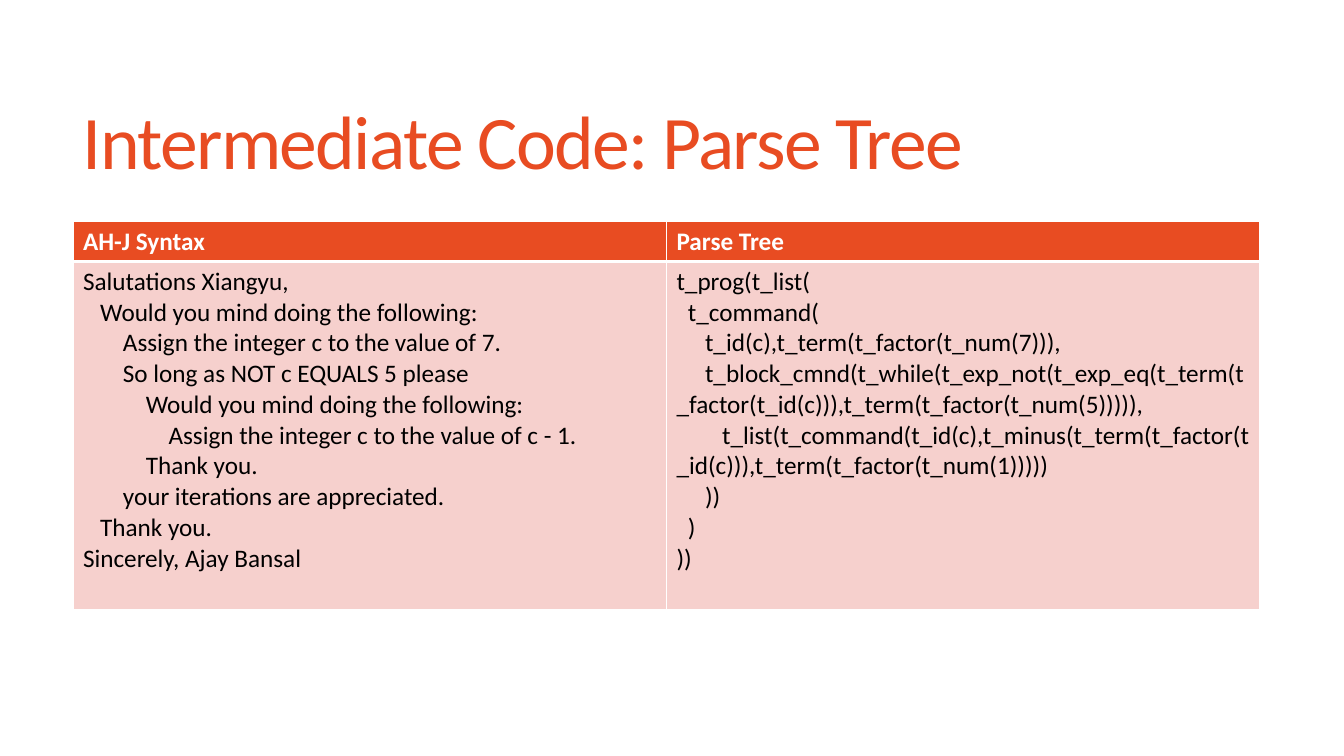
"""Build the slide that sets AH-J syntax beside its parse tree."""
import pptx
import pptx.dml.color
import pptx.enum.text
import pptx.oxml.ns
import pptx.util
import lxml.etree

PIXEL = 914400 / 100.8
ORANGE, PINK, WHITE, BLACK = "E84C22", "F6D0CD", "FFFFFF", "000000"
SPACE_WIDTH = 5.7


def pixels(count):
    return pptx.util.Emu(round(count * PIXEL))


def add_run(paragraph, text, size, color, bold=False):
    run = paragraph.add_run()
    run.text = text
    run.font.name = "Calibri"
    run.font.size = pptx.util.Pt(size)
    run.font.bold = bold
    run.font.color.rgb = pptx.dml.color.RGBColor.from_string(color)
    return run


presentation = pptx.Presentation()
presentation.slide_width = pixels(1344)
presentation.slide_height = pixels(756)
slide = presentation.slides.add_slide(presentation.slide_layouts[6])

title = slide.shapes.add_textbox(pixels(73), pixels(55), pixels(1187), pixels(183))
title.text_frame.word_wrap = True
title.text_frame.vertical_anchor = pptx.enum.text.MSO_ANCHOR.MIDDLE
title_paragraph = title.text_frame.paragraphs[0]
title_paragraph.line_spacing = 0.85
title_run = add_run(title_paragraph, "Intermediate Code: Parse Tree", 54, ORANGE)
title_run.font._element.set("spc", "-120")

syntax_lines = [
    (0, "Salutations Xiangyu,"),
    (3, "Would you mind doing the following:"),
    (7, "Assign the integer c to the value of 7."),
    (7, "So long as NOT c EQUALS 5 please"),
    (11, "Would you mind doing the following:"),
    (15, "Assign the integer c to the value of c - 1."),
    (11, "Thank you."),
    (7, "your iterations are appreciated."),
    (3, "Thank you."),
    (0, "Sincerely, Ajay Bansal"),
]
tree_lines = [
    (0, "t_prog(t_list("),
    (2, "t_command("),
    (5, "t_id(c),t_term(t_factor(t_num(7))),"),
    (5, "t_block_cmnd(t_while(t_exp_not(t_exp_eq(t_term(t_factor(t_id(c))),"
        "t_term(t_factor(t_num(5))))),"),
    (8, "t_list(t_command(t_id(c),t_minus(t_term(t_factor(t_id(c))),"
        "t_term(t_factor(t_num(1)))))"),
    (5, "))"),
    (2, ")"),
    (0, "))"),
]
rows = [
    ([[(0, "AH-J Syntax")], [(0, "Parse Tree")]], 40, ORANGE, WHITE, True,
     {"lnL": 1, "lnR": 1, "lnT": 1, "lnB": 3}),
    ([syntax_lines, tree_lines], 348, PINK, BLACK, False,
     {"lnL": 1, "lnR": 1, "lnT": 3, "lnB": 1}),
]

table = slide.shapes.add_table(
    2, 2, pixels(73), pixels(221), pixels(1187), pixels(388)).table
table.horz_banding = False
for column in table.columns:
    column.width = pixels(593.5)

for row_index, (contents, height, fill, color, bold, borders) in enumerate(rows):
    table.rows[row_index].height = pixels(height)
    for column_index, lines in enumerate(contents):
        cell = table.cell(row_index, column_index)
        properties = cell._tc.get_or_add_tcPr()
        for side, width in borders.items():
            border = lxml.etree.SubElement(
                properties, pptx.oxml.ns.qn("a:" + side), w=str(pptx.util.Pt(width)))
            solid = lxml.etree.SubElement(border, pptx.oxml.ns.qn("a:solidFill"))
            lxml.etree.SubElement(solid, pptx.oxml.ns.qn("a:srgbClr"), val=WHITE)
        cell.fill.solid()
        cell.fill.fore_color.rgb = pptx.dml.color.RGBColor.from_string(fill)
        for line_index, (spaces, text) in enumerate(lines):
            frame = cell.text_frame
            paragraph = frame.add_paragraph() if line_index else frame.paragraphs[0]
            paragraph_properties = paragraph._p.get_or_add_pPr()
            paragraph_properties.set("marL", "0")
            paragraph_properties.set("indent", str(pixels(spaces * SPACE_WIDTH)))
            add_run(paragraph, text, 18, color, bold)

presentation.save("out.pptx")
